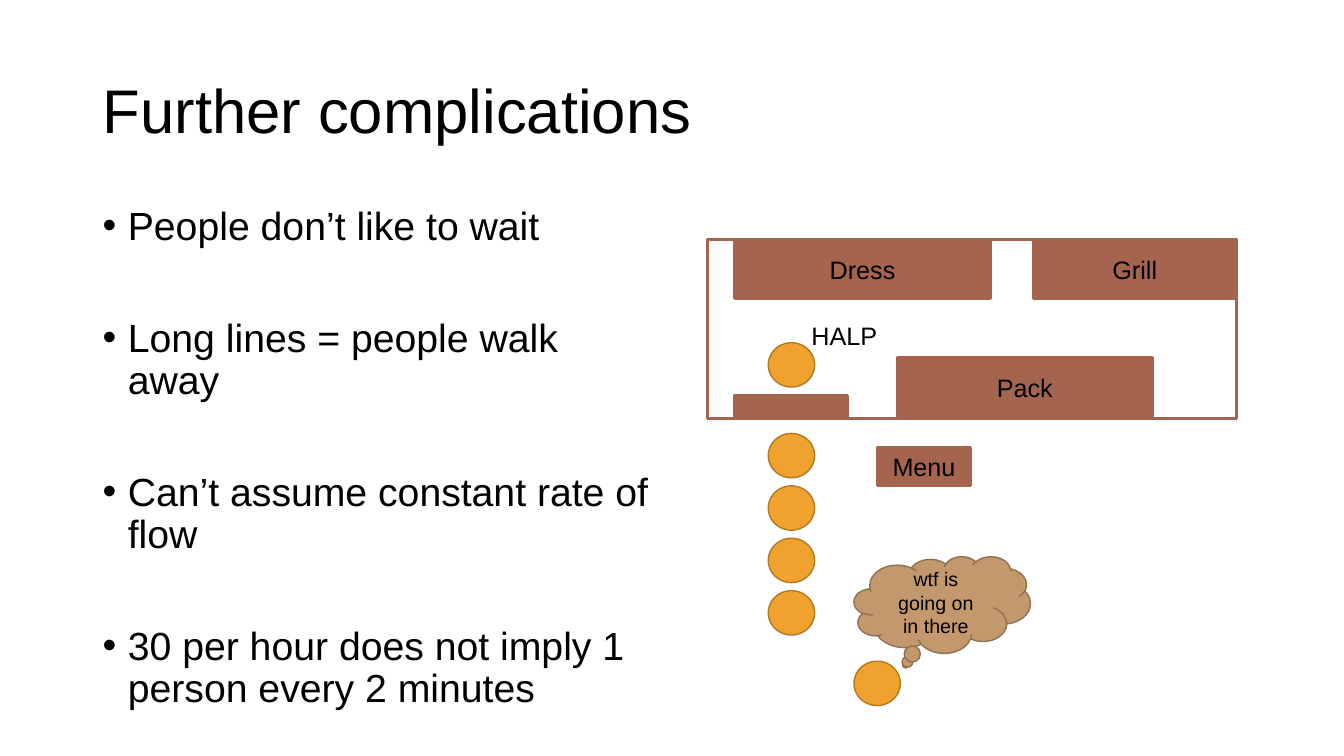
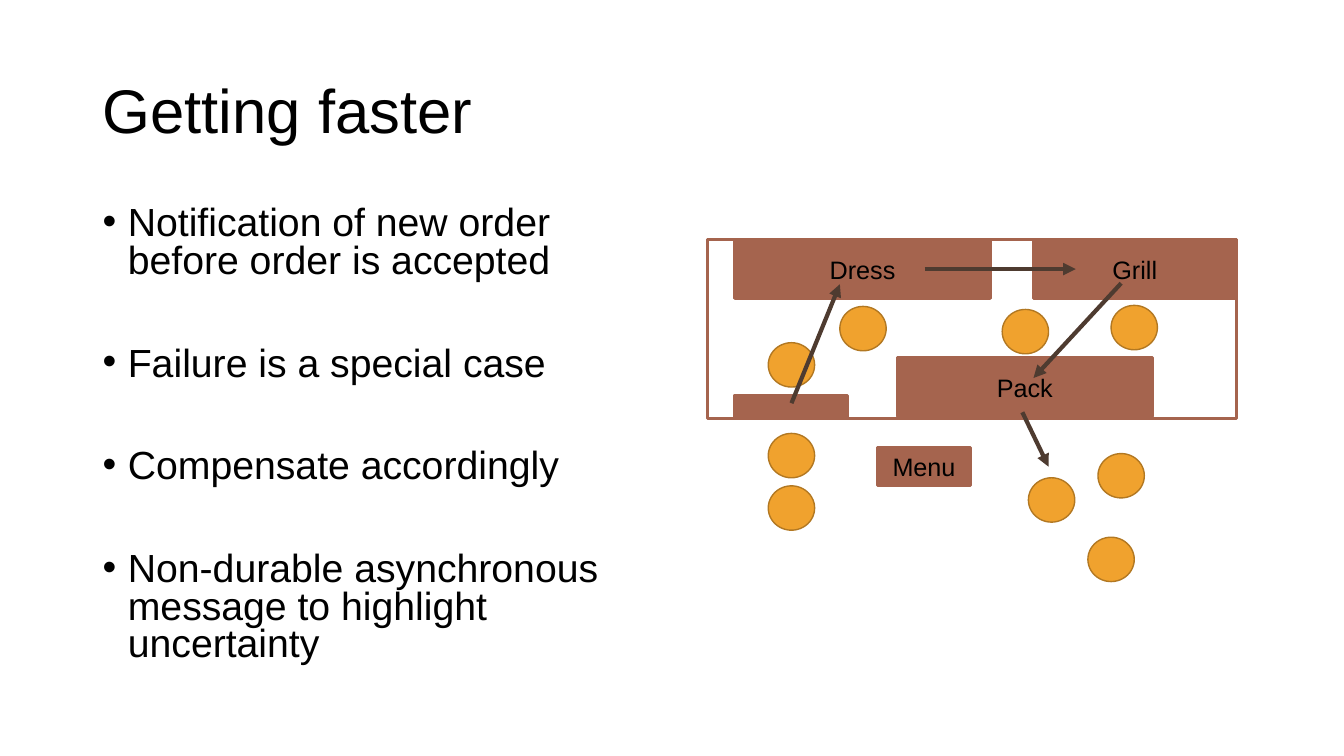
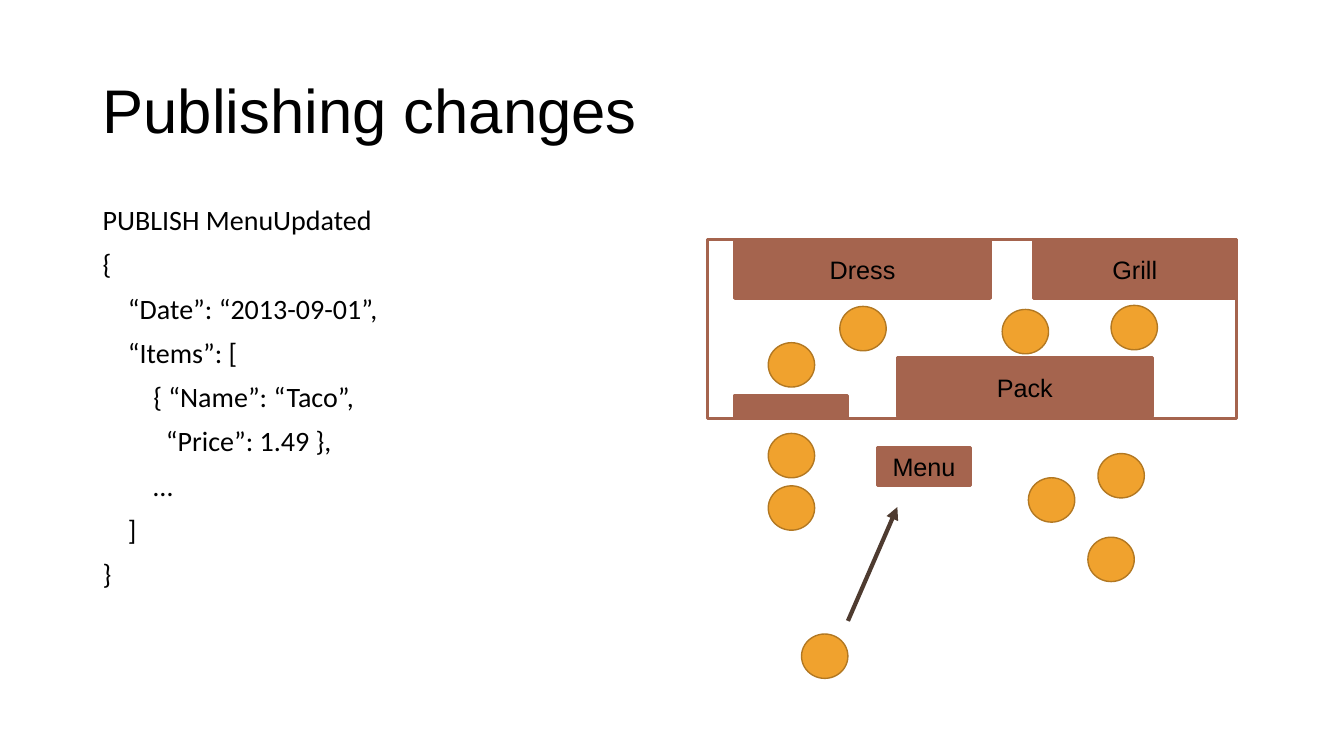
from lxml import etree
from pptx import Presentation
from pptx.dml.color import RGBColor
from pptx.enum.shapes import MSO_CONNECTOR, MSO_SHAPE as SHAPE
from pptx.enum.text import MSO_ANCHOR as ANCHOR, PP_ALIGN as ALIGN
from pptx.oxml.ns import qn
from pptx.util import Inches, Pt

COLORS = {
    "text": "000000", "white": "FFFFFF", "counter": "A5644E",
    "person": "F0A22E", "person_edge": "B27822",
    "thought": "C3986D", "thought_edge": "907051", "arrow": "4E3B30",
}
PERSON_SIZE = (0.46, 0.44)
QUEUE_X, QUEUE_TOP, QUEUE_STEP = 7.62, 4.3, 0.52
BULLET_INDENT = 0.25

COUNTERS = [
    ("", (7.29, 3.92, 1.12, 0.23)),
    ("Dress", (7.29, 2.38, 2.53, 0.58)),
    ("Pack", (8.9, 3.55, 2.53, 0.58)),
    ("Grill", (10.25, 2.38, 2.01, 0.58)),
    ("Menu", (8.7, 4.44, 0.93, 0.38)),
]
CASHIER = (QUEUE_X, 3.4)
STAFF = [(8.33, 3.04), (11.02, 3.03), (9.94, 3.07)]
WAITING = [(10.89, 4.5), (10.2, 4.74), (10.79, 5.33)]

SLIDES = [
    {
        "title": "Further complications",
        "lines": [
            "People don’t like to wait",
            "Long lines = people walk away",
            "Can’t assume constant rate of flow",
            "30 per hour does not imply 1 person every 2 minutes",
        ],
        "bulleted": True, "font": "Arial", "size": 28, "spacing": 0.9, "gap": 49.5,
        "queue": 4, "people": [(8.47, 6.56)], "arrows": [],
        "thought": "wtf is going on in there", "shout": "HALP",
    },
    {
        "title": "Getting faster",
        "lines": [
            "Notification of new order before order is accepted",
            "Failure is a special case",
            "Compensate accordingly",
            "Non-durable asynchronous message to highlight uncertainty",
        ],
        "bulleted": True, "font": "Arial", "size": 28, "spacing": 0.8, "gap": 46.5,
        "queue": 2, "people": STAFF + WAITING,
        "arrows": [
            (7.85, 4, 8.33, 2.82), (9.17, 2.67, 10.67, 2.67),
            (11.12, 2.81, 10.25, 3.75), (10.14, 4.09, 10.4, 4.63),
        ],
    },
    {
        "title": "Publishing changes",
        "lines": [
            "PUBLISH MenuUpdated",
            "{",
            "    “Date”: “2013-09-01”,",
            "    “Items”: [",
            "        { “Name”: “Taco”,",
            "          “Price”: 1.49 },",
            "        …",
            "    ]",
            "}",
        ],
        "bulleted": False, "font": "Calibri", "size": 20, "spacing": 0.9, "gap": 10,
        "queue": 2, "people": STAFF + WAITING + [(7.95, 6.29)],
        "arrows": [(8.41, 6.16, 8.9, 5.03)],
    },
]


def add_text(slide, box, lines, size, font="Arial", spacing=1.0, gap=0,
             anchor=ANCHOR.TOP, bulleted=False):
    frame = slide.shapes.add_textbox(*map(Inches, box)).text_frame
    frame.word_wrap = True
    frame.vertical_anchor = anchor
    for index, line in enumerate(lines):
        paragraph = frame.add_paragraph() if index else frame.paragraphs[0]
        paragraph.line_spacing = spacing
        if index:
            paragraph.space_before = Pt(gap)
        if bulleted:
            props = paragraph._p.get_or_add_pPr()
            props.set("marL", str(Inches(BULLET_INDENT)))
            props.set("indent", str(-Inches(BULLET_INDENT)))
            etree.SubElement(props, qn("a:buFont")).set("typeface", "Arial")
            etree.SubElement(props, qn("a:buChar")).set("char", "•")
        run = paragraph.add_run()
        run.text = line
        run.font.size = Pt(size)
        run.font.name = font
        run.font.color.rgb = RGBColor.from_string(COLORS["text"])


def add_part(slide, kind, box, fill, edge, weight, label="", size=18):
    """Add one filled, outlined piece of the food stand with an optional label."""
    part = slide.shapes.add_shape(kind, *map(Inches, box))
    part.shadow.inherit = False
    part.fill.solid()
    part.fill.fore_color.rgb = RGBColor.from_string(COLORS[fill])
    part.line.color.rgb = RGBColor.from_string(COLORS[edge])
    part.line.width = Pt(weight)
    if label:
        frame = part.text_frame
        frame.word_wrap = True
        frame.vertical_anchor = ANCHOR.MIDDLE
        frame.paragraphs[0].alignment = ALIGN.CENTER
        run = frame.paragraphs[0].add_run()
        run.text = label
        run.font.size = Pt(size)
        run.font.name = "Arial"
        run.font.color.rgb = RGBColor.from_string(COLORS["text"])


deck = Presentation()
deck.slide_width, deck.slide_height = Inches(13.33), Inches(7.5)

for content in SLIDES:
    slide = deck.slides.add_slide(deck.slide_layouts[6])
    add_text(slide, (0.92, 0.4, 11.5, 1.45), [content["title"]], 44,
             spacing=0.9, anchor=ANCHOR.MIDDLE)
    add_text(slide, (0.92, 2, 5.67, 4.76), content["lines"], content["size"],
             content["font"], content["spacing"], content["gap"],
             bulleted=content["bulleted"])

    add_part(slide, SHAPE.RECTANGLE, (7.02, 2.38, 5.24, 1.77), "white", "counter", 2.25)
    for label, box in COUNTERS:
        add_part(slide, SHAPE.RECTANGLE, box, "counter", "counter", 2.25, label)

    queue = [(QUEUE_X, QUEUE_TOP + QUEUE_STEP * place) for place in range(content["queue"])]
    for spot in [CASHIER] + queue + content["people"]:
        add_part(slide, SHAPE.OVAL, spot + PERSON_SIZE, "person", "person_edge", 1)

    if "thought" in content:
        add_part(slide, SHAPE.CLOUD_CALLOUT, (8.47, 5.52, 1.75, 0.96),
                 "thought", "thought_edge", 1, content["thought"], 14)
    if "shout" in content:
        add_text(slide, (7.95, 3.13, 0.93, 0.4), [content["shout"]], 18)

    for ends in content["arrows"]:
        arrow = slide.shapes.add_connector(MSO_CONNECTOR.STRAIGHT, *map(Inches, ends))
        arrow.line.color.rgb = RGBColor.from_string(COLORS["arrow"])
        arrow.line.width = Pt(3)
        etree.SubElement(arrow.line._get_or_add_ln(), qn("a:tailEnd")).set("type", "triangle")
        etree.SubElement(arrow._element.spPr, qn("a:effectLst"))

deck.save("out.pptx")
